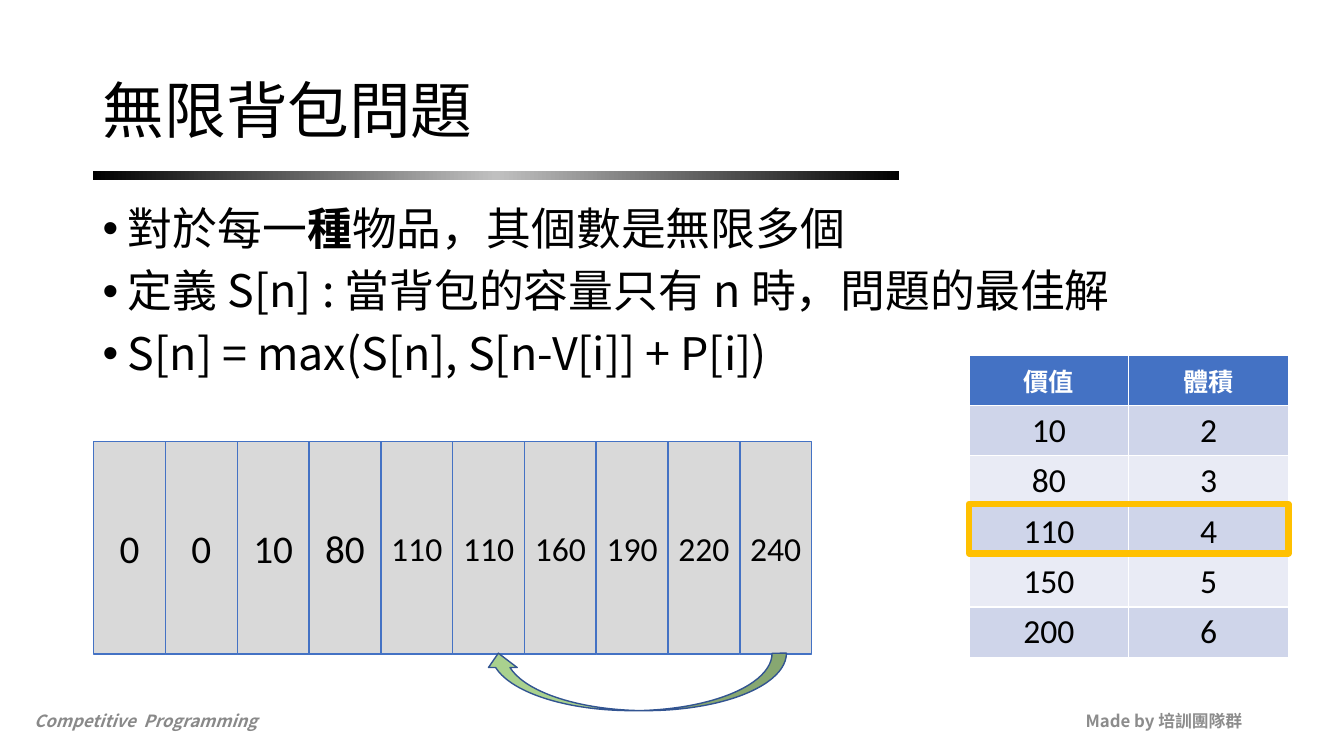
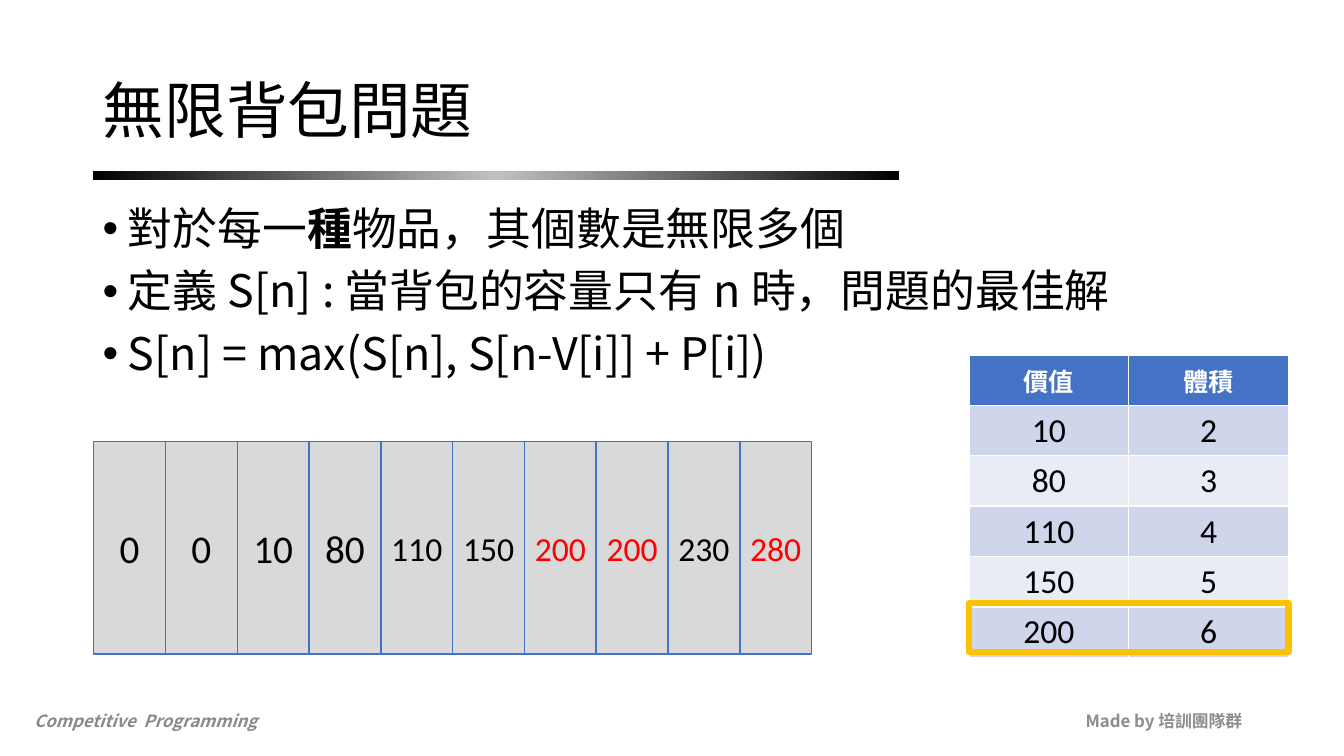
from copy import deepcopy
from dataclasses import dataclass

from lxml.etree import SubElement
from pptx import Presentation
from pptx.dml.color import RGBColor
from pptx.enum.shapes import MSO_SHAPE
from pptx.enum.text import MSO_ANCHOR, MSO_AUTO_SIZE, PP_ALIGN
from pptx.oxml.ns import qn
from pptx.util import Inches, Pt


@dataclass(frozen=True)
class Theme:
    sans: str = "Noto Sans CJK SC"
    latin: str = "Calibri"
    black: str = "000000"
    white: str = "FFFFFF"
    silver: str = "C0C0C0"
    red: str = "FF0000"
    blue: str = "4472C4"
    navy: str = "325491"
    green: str = "A9D18E"
    gold: str = "FFC000"
    cell: str = "D9D9D9"
    odd: str = "CFD5EA"
    even: str = "E9EBF5"
    maker: str = "8C8C8C"
    course: str = "898989"
    title: int = 44
    body: int = 32
    big: int = 28
    mid: int = 24
    head: int = 18
    small: int = 12


THEME = Theme()
TITLE = "無限背包問題"
# Each point is a list of (text, bold) parts.
POINTS = [
    [("對於每一", False), ("種", True), ("物品，其個數是無限多個", False)],
    [("定義 S[n] : 當背包的容量只有 n 時，問題的最佳解", False)],
    [("S[n] = max(S[n], S[n-V[i]] + P[i])", False)],
]
ITEMS = [("價值", "體積"), (10, 2), (80, 3), (110, 4), (150, 5), (200, 6)]
TABLE_X, TABLE_Y, TABLE_W, ROW_H = 9.61, 3.53, 3.17, 0.49
ARRAY_X, ARRAY_Y, ARRAY_W, ARRAY_H = 0.93, 4.38, 7.12, 2.11


def rgb(code):
    return RGBColor.from_string(code)


class Deck:
    def __init__(self, theme):
        self.theme = theme
        self.prs = Presentation()
        self.prs.slide_width = Inches(13.33)
        self.prs.slide_height = Inches(7.5)
        self.slide = None

    def style(self, run, size, color, face=None, bold=False, slant=False):
        font = run.font
        font.size, font.bold, font.italic = Pt(size), bold, slant
        font.color.rgb = rgb(color)
        font.name = face or self.theme.sans
        east = SubElement(run.font._element, qn("a:ea"))
        east.set("typeface", self.theme.sans)

    def label(self, frame, text, size, color, align=PP_ALIGN.CENTER, **look):
        frame.text = text
        frame.vertical_anchor = MSO_ANCHOR.MIDDLE
        para = frame.paragraphs[0]
        para.alignment = align
        self.style(para.runs[0], size, color, **look)
        return para

    def shape(self, kind, box, fill=None, line=None, width=1):
        item = self.slide.shapes.add_shape(kind, *map(Inches, box))
        item.shadow.inherit = False
        if fill:
            item.fill.solid()
            item.fill.fore_color.rgb = rgb(fill)
        else:
            item.fill.background()
        if line:
            item.line.color.rgb = rgb(line)
            item.line.width = Pt(width)
        else:
            item.line.fill.background()
        return item

    def text_box(self, *box):
        frame = self.slide.shapes.add_textbox(*map(Inches, box)).text_frame
        frame.word_wrap = True
        return frame

    def new(self, title):
        """Start a slide with its title, rule and footers."""
        t = self.theme
        self.slide = self.prs.slides.add_slide(self.prs.slide_layouts[5])
        self.rule()
        self.label(self.text_box(9.42, 6.95, 3, 0.4), "Made by 培訓團隊群",
                   t.small, t.maker, PP_ALIGN.RIGHT, bold=True)
        self.label(self.text_box(0.24, 6.95, 3, 0.4), "Competitive  Programming",
                   t.small, t.course, PP_ALIGN.LEFT, bold=True, slant=True)
        head = self.slide.shapes.title
        head.left, head.top = Inches(0.92), Inches(0.4)
        head.width, head.height = Inches(11.5), Inches(1.45)
        head.text_frame.auto_size = MSO_AUTO_SIZE.NONE
        para = self.label(head.text_frame, title, t.title, t.black, PP_ALIGN.LEFT)
        para.line_spacing = 0.9

    def rule(self):
        t = self.theme
        bar = self.shape(MSO_SHAPE.RECTANGLE, (0.92, 1.7, 8, 0.09))
        bar.fill.gradient()
        bar.fill.gradient_angle = 0
        stops = bar.element.spPr.find(".//" + qn("a:gsLst"))
        stops.insert(1, deepcopy(stops[0]))
        shades = (0, t.black), (0.5, t.silver), (1, t.black)
        for stop, (place, color) in zip(bar.fill.gradient_stops, shades):
            stop.position = place
            stop.color.rgb = rgb(color)

    def bullets(self, points):
        t = self.theme
        frame = self.text_box(0.92, 2, 11.5, 4.76)
        for i, parts in enumerate(points):
            para = frame.add_paragraph() if i else frame.paragraphs[0]
            para.line_spacing = 0.9
            para.space_before = Pt(10 if i else 0)
            props = para._p.get_or_add_pPr()
            props.set("marL", str(Inches(0.25)))
            props.set("indent", str(-Inches(0.25)))
            SubElement(props, qn("a:buFont")).set("typeface", "Arial")
            SubElement(props, qn("a:buChar")).set("char", "•")
            for text, bold in parts:
                run = para.add_run()
                run.text = text
                self.style(run, t.body, t.black, bold=bold)

    def table(self, rows):
        t = self.theme
        box = TABLE_X, TABLE_Y, TABLE_W, ROW_H * len(rows)
        grid = self.slide.shapes.add_table(
            len(rows), len(rows[0]), *map(Inches, box)).table
        for r, row in enumerate(rows):
            if r:
                fill, size, color = (t.odd if r % 2 else t.even), t.mid, t.black
            else:
                fill, size, color = t.blue, t.head, t.white
            for c, value in enumerate(row):
                cell = grid.cell(r, c)
                cell.fill.solid()
                cell.fill.fore_color.rgb = rgb(fill)
                cell.vertical_anchor = MSO_ANCHOR.MIDDLE
                self.label(cell.text_frame, str(value), size, color,
                           face=t.latin, bold=r == 0)

    def frame(self, row):
        """Outline one row of the item table."""
        box = TABLE_X, TABLE_Y + row * ROW_H, TABLE_W, ROW_H
        self.shape(MSO_SHAPE.RECTANGLE, box, line=self.theme.gold, width=4.5)

    def array(self, values, hot):
        """Draw the knapsack array; indexes in hot are red."""
        t = self.theme
        step = ARRAY_W / len(values)
        for i, value in enumerate(values):
            box = ARRAY_X + i * step, ARRAY_Y, step, ARRAY_H
            cell = self.shape(MSO_SHAPE.RECTANGLE, box, t.cell, t.blue)
            text = cell.text_frame
            text.margin_left = text.margin_right = 0
            self.label(text, str(value), t.big if value < 100 else t.mid,
                       t.red if i in hot else t.black, face=t.latin)

    def arrow(self):
        t = self.theme
        item = self.shape(MSO_SHAPE.CURVED_DOWN_ARROW, (4.8, 6.48, 3, 0.57),
                          t.green, t.navy)
        item.rotation = 180


def main():
    deck = Deck(THEME)
    steps = [
        ([0, 0, 10, 80, 110, 110, 160, 190, 220, 240], (), 3, True),
        ([0, 0, 10, 80, 110, 150, 200, 200, 230, 280], (6, 7, 9), 5, False),
    ]
    for values, hot, row, jump in steps:
        deck.new(TITLE)
        deck.bullets(POINTS)
        deck.table(ITEMS)
        deck.array(values, hot)
        deck.frame(row)
        if jump:
            deck.arrow()
    deck.prs.save("out.pptx")


if __name__ == "__main__":
    main()
